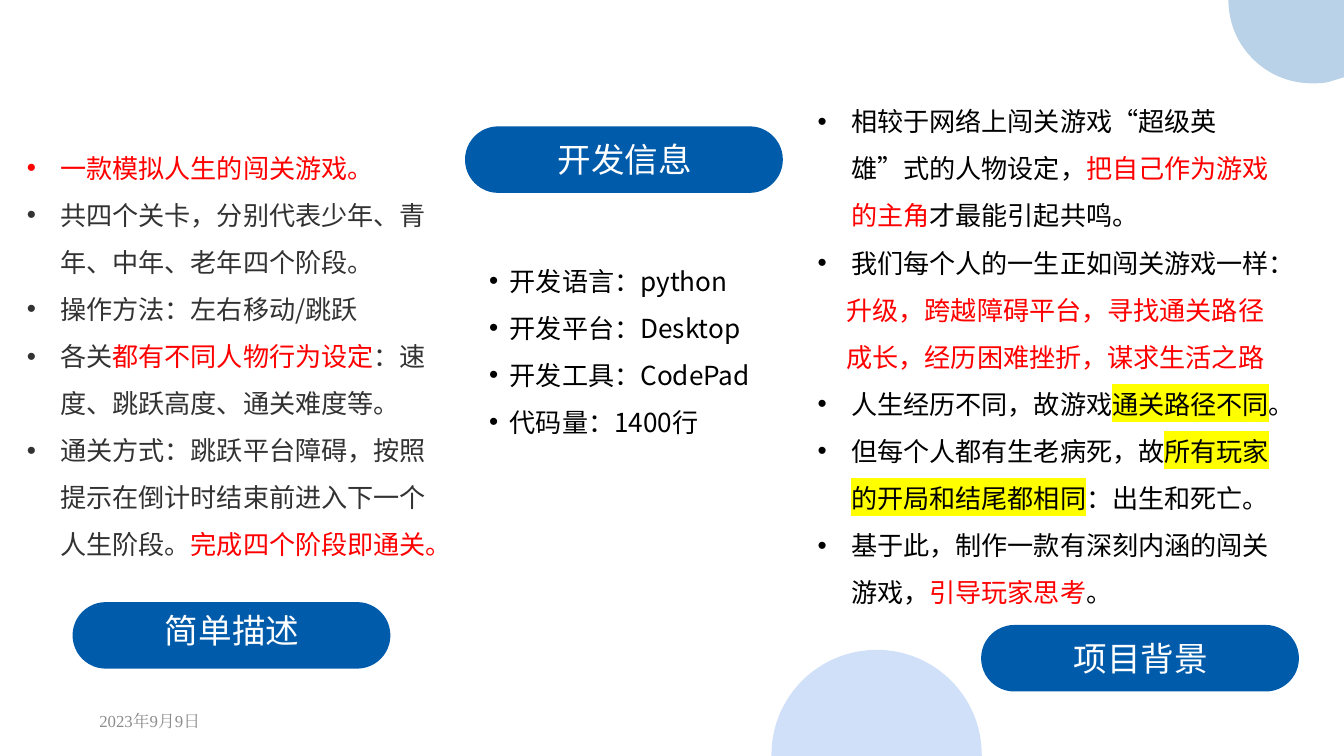
from lxml import etree
from pptx import Presentation
from pptx.dml.color import RGBColor
from pptx.enum.shapes import MSO_SHAPE
from pptx.enum.text import MSO_ANCHOR, MSO_AUTO_SIZE, PP_ALIGN
from pptx.oxml.ns import qn
from pptx.util import Inches, Pt

PILL = MSO_SHAPE.ROUNDED_RECTANGLE
CENTER, LEFT = PP_ALIGN.CENTER, PP_ALIGN.LEFT
TOP, MIDDLE = MSO_ANCHOR.TOP, MSO_ANCHOR.MIDDLE
GROW, FIXED = MSO_AUTO_SIZE.SHAPE_TO_FIT_TEXT, MSO_AUTO_SIZE.NONE
WIDE, HIGH = 20, 11.25
SANS, SERIF = "Noto Sans CJK SC", "Times New Roman"
BLUE, RED, GREY, BLACK = "005BAB", "FF0000", "323232", "000000"
WHITE, PALE, YELLOW = "FFFFFF", "8C8C8C", "FFFF00"
PILL_W, PILL_H, LABEL_W, INSET = 4.73, 0.99, 3.25, 0.75

# Discs cut by the slide's edge: colour, opacity, start, then segments
# (one point is a straight line, three points are a curve)
DISCS = [
    ("0058E0", 18, (13.05, 9.67), [
        [(13.91, 9.67), (14.61, 10.37), (14.61, 11.23)],
        [(14.61, HIGH)], [(11.48, HIGH)], [(11.48, 11.23)],
        [(11.48, 10.37), (12.18, 9.67), (13.05, 9.67)]]),
    (BLUE, 27, (18.28, 0), [
        [(WIDE, 0)], [(WIDE, 1.15)], [(19.77, 1.22)],
        [(19.69, 1.24), (19.61, 1.24), (19.52, 1.24)],
        [(18.84, 1.24), (18.28, 0.69), (18.28, 0)]]),
]

# Headings: text, pill left, pill top, label drop below pill top, label height
HEADS = [("开发信息", 6.92, 1.88, 0.14, 0.71),
         ("简单描述", 1.08, 8.96, 0.07, 1.01),
         ("项目背景", 14.6, 9.3, 0.15, 0.71)]

# Columns: a run is text, or (text, colour, highlight)
ABOUT = [
    [("一款模拟人生的闯关游戏。", RED)],
    ["共四个关卡，分别代表少年、青年、中年、老年四个阶段。"],
    ["操作方法：左右移动/跳跃"],
    ["各关", ("都有不同人物行为设定", RED), "：速度、跳跃高度、通关难度等。"],
    ["通关方式：跳跃平台障碍，按照提示在倒计时结束前进入下一个人生阶段。",
     ("完成四个阶段即通关。", RED)],
]
TOOLS = [["开发语言：python"], ["开发平台：Desktop"],
         ["开发工具：CodePad"], ["代码量：1400行"]]
STORY = [
    ["相较于网络上闯关游戏“超级英雄”式的人物设定，",
     ("把自己作为游戏的主角", RED), "才最能引起共鸣。"],
    ["我们每个人的一生正如闯关游戏一样："],
    [("升级，跨越障碍平台，寻找通关路径", RED)],
    [("成长，经历困难挫折，谋求生活之路", RED)],
    ["人生经历不同，故游戏", ("通关路径不同", BLACK, YELLOW), "。"],
    ["但每个人都有生老病死，故",
     ("所有玩家的开局和结尾都相同", BLACK, YELLOW), "：出生和死亡。"],
    ["基于此，制作一款有深刻内涵的闯关游戏，", ("引导玩家思考", RED), "。"],
]
# Lines, box, colour, indent, indexes of centred lines
COLUMNS = [(ABOUT, (0.3, 1.98, 6.32, 6.38), GREY, 0.5, ()),
           (TOOLS, (7.18, 3.66, 4.47, 2.84), BLACK, 0.31, ()),
           (STORY, (12.07, 1.29, 7.27, 7.79), BLACK, 0.5, (2, 3))]
DATE = "2023年9月9日"

deck = Presentation()
deck.slide_width, deck.slide_height = Inches(WIDE), Inches(HIGH)
shapes = deck.slides.add_slide(deck.slide_layouts[6]).shapes


def rgb(code):
    return RGBColor.from_string(code)


def paint(shape, code, alpha=100):
    shape.shadow.inherit = False
    shape.fill.solid()
    shape.fill.fore_color.rgb = rgb(code)
    shape.line.fill.background()
    if alpha < 100:
        tint = shape._element.spPr.find(".//" + qn("a:srgbClr"))
        etree.SubElement(tint, qn("a:alpha"), val=str(alpha * 1000))


def add_disc(code, alpha, start, parts):
    """Lay out every point, then turn each run of three into a curve."""
    dots = [tuple(map(Inches, dot)) for part in parts for dot in part]
    pen = shapes.build_freeform(*map(Inches, start), scale=1.0)
    pen.add_line_segments(dots, close=True)
    shape = pen.convert_to_shape()
    lines = iter(shape._element.findall(".//" + qn("a:lnTo")))
    for part in parts:
        steps = [next(lines) for _ in part]
        if len(steps) == 3:
            curve = etree.Element(qn("a:cubicBezTo"))
            steps[0].addprevious(curve)
            for step in steps:
                curve.append(step[0])
                step.getparent().remove(step)
    paint(shape, code, alpha)


def add_frame(box, anchor=TOP, fit=GROW):
    frame = shapes.add_textbox(*map(Inches, box)).text_frame
    frame.word_wrap = True
    frame.auto_size = fit
    frame.vertical_anchor = anchor
    return frame


def add_run(para, text, size, code, mark=None, face=SANS):
    run = para.add_run()
    run.text = text
    run.font.size = Pt(size)
    run.font.color.rgb = rgb(code)
    props = run._r.get_or_add_rPr()
    if mark:
        glow = etree.SubElement(props, qn("a:highlight"))
        etree.SubElement(glow, qn("a:srgbClr"), val=mark)
    run.font.name = face
    etree.SubElement(props, qn("a:ea"), typeface=face)


def add_bullet(para, indent):
    props = para._p.get_or_add_pPr()
    props.set("marL", str(Inches(indent)))
    props.set("indent", str(-Inches(indent)))
    etree.SubElement(props, qn("a:buFont"), typeface="Arial")
    etree.SubElement(props, qn("a:buChar"), char="•")


def add_column(lines, box, code, indent, centred):
    frame = add_frame(box)
    for i, line in enumerate(lines):
        para = frame.add_paragraph() if i else frame.paragraphs[0]
        if i in centred:
            para.alignment = CENTER
        else:
            para.alignment = LEFT
            add_bullet(para, indent)
        para.line_spacing = 1.5
        for part in line:
            if isinstance(part, str):
                part = (part, code)
            text, *look = part
            add_run(para, text, 28, *look)


# Edge discs
for disc in DISCS:
    add_disc(*disc)

# Heading pills
for text, x, y, drop, tall in HEADS:
    pill = shapes.add_shape(PILL, *map(Inches, (x, y, PILL_W, PILL_H)))
    pill.adjustments[0] = 0.5
    paint(pill, BLUE)
    para = add_frame((x + INSET, y + drop, LABEL_W, tall)).paragraphs[0]
    para.alignment = CENTER
    add_run(para, text, 36, WHITE)

# Text columns
for column in COLUMNS:
    add_column(*column)

# Date
frame = add_frame((1.38, 10.43, 4.5, 0.6), MIDDLE, FIXED)
add_run(frame.paragraphs[0], DATE, 18, PALE, face=SERIF)

deck.save("out.pptx")
